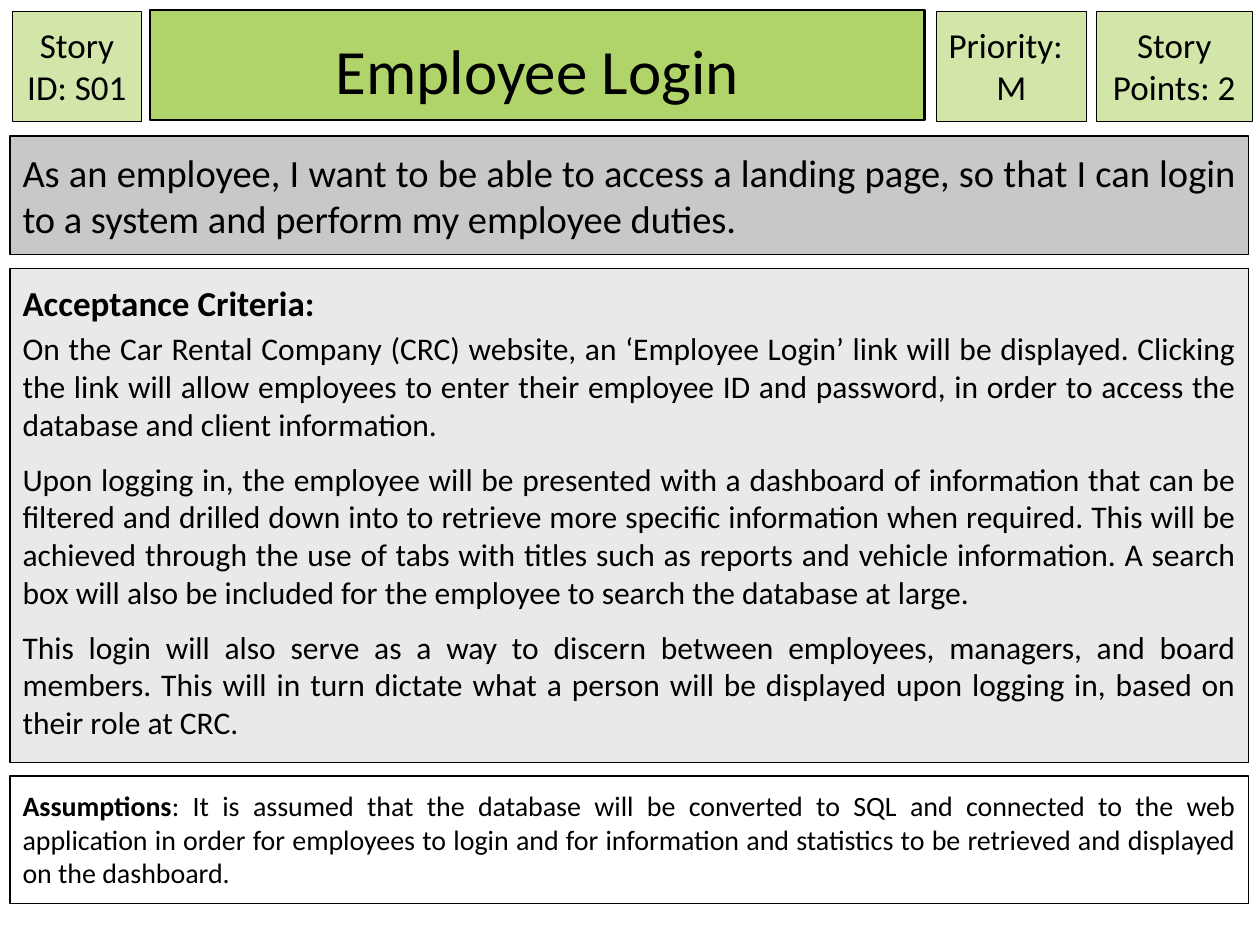
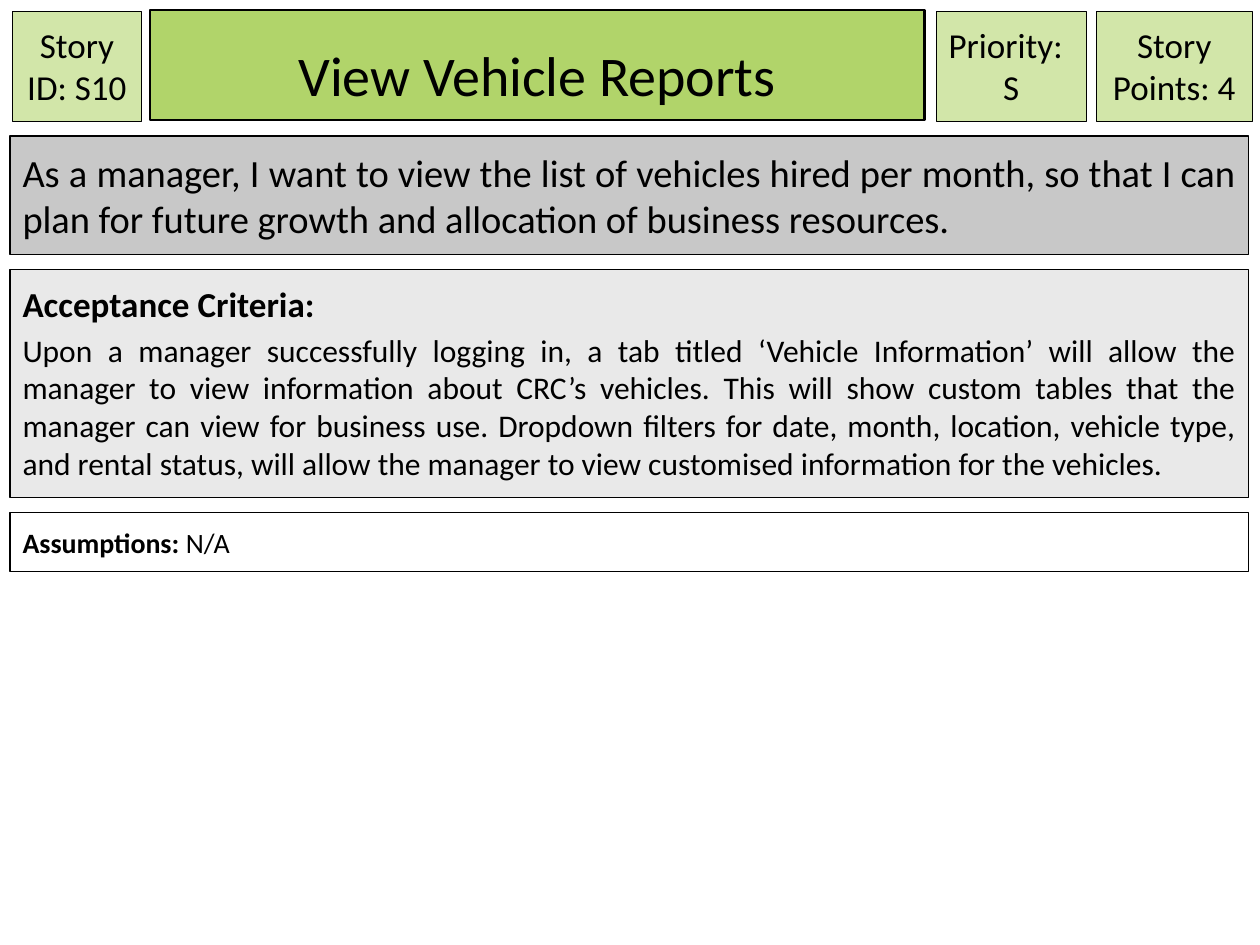
from dataclasses import dataclass

from pptx import Presentation
from pptx.dml.color import RGBColor as Color
from pptx.enum.shapes import MSO_SHAPE as ShapeType
from pptx.enum.text import MSO_ANCHOR as Anchor, MSO_AUTO_SIZE as AutoSize, PP_ALIGN as Align
from pptx.util import Pt


@dataclass(frozen=True)
class Theme:
    font: str = "Calibri"
    ink: str = "000000"
    title_fill: str = "B1D46A"
    badge_fill: str = "D2E6A9"
    statement_fill: str = "C8C8C8"
    criteria_fill: str = "E9E9E9"
    assumptions_fill: str = "FFFFFF"
    badge_size: float = 20
    statement_size: float = 22
    heading_size: float = 20
    body_size: float = 18
    assumptions_size: float = 16
    thin_line: float = 0.75
    title_line: float = 1.5
    inset: float = 7.2


@dataclass(frozen=True)
class Box:
    left: float
    top: float
    width: float
    height: float


@dataclass(frozen=True)
class Story:
    story_id: str
    title: str
    title_size: float
    priority: str
    points: str
    statement: str
    criteria: tuple
    assumptions_label: str
    assumptions: str
    criteria_height: float
    assumptions_height: float
    gap: float


THEME = Theme()
HEADER = Box(7.2, 5.8, 708.5, 64)
STATEMENT = Box(5.8, 77.8, 707.8, 67.7)

STORIES = (
    Story(
        story_id="S01",
        title="Employee Login",
        title_size=36,
        priority="M",
        points="2",
        statement="As an employee, I want to be able to access a landing page, so that I can login "
        "to a system and perform my employee duties.",
        criteria=(
            "On the Car Rental Company (CRC) website, an ‘Employee Login’ link will be displayed. "
            "Clicking the link will allow employees to enter their employee ID and password, in "
            "order to access the database and client information.",
            "Upon logging in, the employee will be presented with a dashboard of information that "
            "can be filtered and drilled down into to retrieve more specific information when "
            "required. This will be achieved through the use of tabs with titles such as reports "
            "and vehicle information. A search box will also be included for the employee to "
            "search the database at large.",
            "This login will also serve as a way to discern between employees, managers, and board "
            "members. This will in turn dictate what a person will be displayed upon logging in, "
            "based on their role at CRC.",
        ),
        assumptions_label="Assumptions",
        assumptions=": It is assumed that the database will be converted to SQL and connected to "
        "the web application in order for employees to login and for information and statistics "
        "to be retrieved and displayed on the dashboard.",
        criteria_height=282.2,
        assumptions_height=72.7,
        gap=7.9,
    ),
    Story(
        story_id="S10",
        title="View Vehicle Reports",
        title_size=32,
        priority="S",
        points="4",
        statement="As a manager, I want to view the list of vehicles hired per month, so that I "
        "can plan for future growth and allocation of business resources.",
        criteria=(
            "Upon a manager successfully logging in, a tab titled ‘Vehicle Information’ will allow "
            "the manager to view information about CRC’s vehicles. This will show custom tables "
            "that the manager can view for business use. Dropdown filters for date, month, "
            "location, vehicle type, and rental status, will allow the manager to view customised "
            "information for the vehicles.",
        ),
        assumptions_label="Assumptions: ",
        assumptions="N/A",
        criteria_height=130.3,
        assumptions_height=33.8,
        gap=8.6,
    ),
)


def add_panel(slide, box, fill, line_width=THEME.thin_line, anchor=Anchor.TOP):
    shape = slide.shapes.add_shape(
        ShapeType.RECTANGLE, Pt(box.left), Pt(box.top), Pt(box.width), Pt(box.height)
    )
    shape.shadow.inherit = False
    shape.fill.solid()
    shape.fill.fore_color.rgb = Color.from_string(fill)
    shape.line.color.rgb = Color.from_string(THEME.ink)
    shape.line.width = Pt(line_width)
    frame = shape.text_frame
    frame.word_wrap = True
    frame.auto_size = AutoSize.SHAPE_TO_FIT_TEXT
    frame.vertical_anchor = anchor
    frame.margin_left = frame.margin_right = Pt(THEME.inset)
    frame.margin_top = frame.margin_bottom = Pt(THEME.inset)
    return frame


def format_paragraph(paragraph, align, before=0, after=0):
    paragraph.alignment = align
    paragraph.space_before = Pt(before)
    paragraph.space_after = Pt(after)
    return paragraph


def add_run(paragraph, text, size, bold=False):
    run = paragraph.add_run()
    run.text = text
    run.font.name = THEME.font
    run.font.size = Pt(size)
    run.font.bold = bold
    run.font.color.rgb = Color.from_string(THEME.ink)


def add_header(slide, box, story):
    def add_badge(offset, width, *lines):
        badge = Box(box.left + offset, box.top + 0.7, width, box.height - 1)
        frame = add_panel(slide, badge, THEME.badge_fill)
        for index, (text, align) in enumerate(lines):
            paragraph = frame.add_paragraph() if index else frame.paragraphs[0]
            add_run(format_paragraph(paragraph, align), text, THEME.badge_size)

    add_badge(619.2, 89.3, (f"Story Points: {story.points}", Align.CENTER))
    add_badge(527.8, 85.7, ("Priority:", Align.LEFT), (story.priority, Align.CENTER))
    title_box = Box(box.left + 78.5, box.top, 442.8, box.height - 1.2)
    frame = add_panel(slide, title_box, THEME.title_fill, THEME.title_line, Anchor.BOTTOM)
    add_run(format_paragraph(frame.paragraphs[0], Align.CENTER), story.title, story.title_size)
    add_badge(0, 73.5, (f"Story ID: {story.story_id}", Align.CENTER))


def add_statement(slide, box, story):
    frame = add_panel(slide, box, THEME.statement_fill)
    paragraph = format_paragraph(frame.paragraphs[0], Align.JUSTIFY, before=6)
    add_run(paragraph, story.statement, THEME.statement_size)


def add_criteria(slide, box, story):
    frame = add_panel(slide, box, THEME.criteria_fill)
    heading = format_paragraph(frame.paragraphs[0], Align.LEFT, before=6)
    add_run(heading, "Acceptance Criteria:", THEME.heading_size, bold=True)
    for text in story.criteria:
        paragraph = format_paragraph(frame.add_paragraph(), Align.JUSTIFY, before=3.6, after=6)
        add_run(paragraph, text, THEME.body_size)


def add_assumptions(slide, box, story):
    frame = add_panel(slide, box, THEME.assumptions_fill)
    paragraph = format_paragraph(frame.paragraphs[0], Align.JUSTIFY, before=6)
    add_run(paragraph, story.assumptions_label, THEME.assumptions_size, bold=True)
    add_run(paragraph, story.assumptions, THEME.assumptions_size)


def box_below(box, gap, height):
    return Box(box.left, box.top + box.height + gap, box.width, height)


def add_story_slide(presentation, story):
    slide = presentation.slides.add_slide(presentation.slide_layouts[6])
    criteria_box = box_below(STATEMENT, story.gap, story.criteria_height)
    assumptions_box = box_below(criteria_box, story.gap, story.assumptions_height)
    add_statement(slide, STATEMENT, story)
    add_header(slide, HEADER, story)
    add_criteria(slide, criteria_box, story)
    add_assumptions(slide, assumptions_box, story)


def main():
    presentation = Presentation()
    presentation.slide_width = Pt(720)
    presentation.slide_height = Pt(540)
    for story in STORIES:
        add_story_slide(presentation, story)
    presentation.save("out.pptx")


if __name__ == "__main__":
    main()
